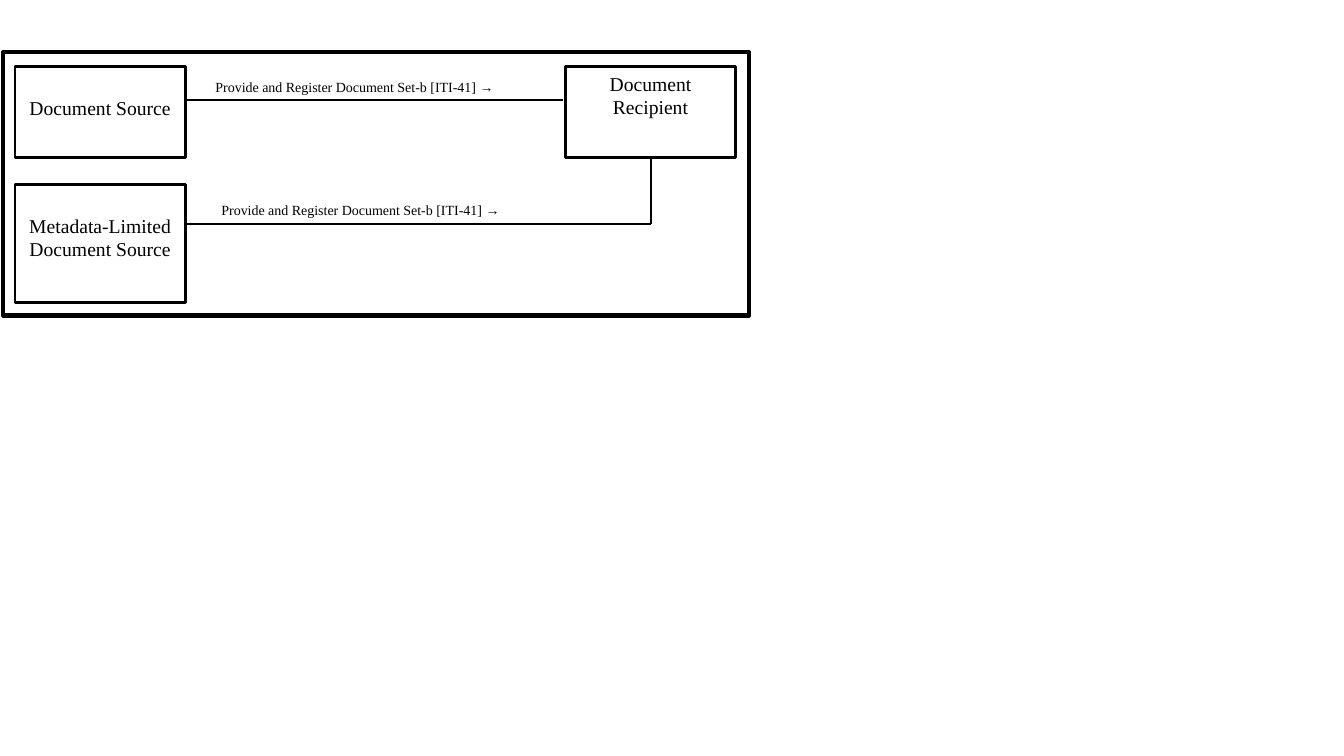
from lxml import etree
from pptx import Presentation
from pptx.dml.color import RGBColor
from pptx.enum.shapes import MSO_CONNECTOR, MSO_SHAPE
from pptx.enum.text import MSO_ANCHOR, PP_ALIGN
from pptx.oxml.ns import qn
from pptx.util import Cm, Pt

RECT = MSO_SHAPE.RECTANGLE
LINE = MSO_CONNECTOR.STRAIGHT
TOP = MSO_ANCHOR.TOP
LEFT, CENTER = PP_ALIGN.LEFT, PP_ALIGN.CENTER

FONT = "Times New Roman"
COLORS = {"ink": "000000", "paper": "FFFFFF"}
MESSAGE = "Provide and Register Document Set-b [ITI-41] →"

ACTOR_W = 4.29
SOURCE_X, RECIPIENT_X = 0.38, 14.25
ROW_Y, ROW_H = 1.68, 2.29
LIMITED_Y, LIMITED_H = 4.65, 2.97


def color(name):
    return RGBColor.from_string(COLORS[name])


def write(shape, text, size=14, align=CENTER, top=0.13):
    """Fill the shape with one paragraph that starts top cm below its edge."""
    frame = shape.text_frame
    frame.word_wrap = True
    frame.vertical_anchor = TOP
    frame.margin_left = frame.margin_right = Cm(0.25)
    frame.margin_top, frame.margin_bottom = Cm(top), Cm(0.13)
    para = frame.paragraphs[0]
    para.alignment = align
    run = para.add_run()
    run.text = text
    run.font.name = FONT
    run.font.size = Pt(size)
    run.font.color.rgb = color("ink")


def add_box(slide, x, y, w, h, weight, fill=None):
    box = slide.shapes.add_shape(RECT, Cm(x), Cm(y), Cm(w), Cm(h))
    box.shadow.inherit = False
    if fill:
        box.fill.solid()
        box.fill.fore_color.rgb = color(fill)
    else:
        box.fill.background()
    box.line.color.rgb = color("ink")
    box.line.width = Pt(weight)
    return box


def add_actor(slide, text, x, y, h, top):
    box = add_box(slide, x, y, ACTOR_W, h, 2, fill="paper")
    write(box, text, top=top)


def add_label(slide, text, x, y):
    label = slide.shapes.add_textbox(Cm(x), Cm(y), Cm(9.14), Cm(0.66))
    write(label, text, size=10, align=LEFT)


def add_line(slide, start, end):
    ends = [Cm(value) for value in (*start, *end)]
    line = slide.shapes.add_connector(LINE, *ends)
    line.line.color.rgb = color("ink")
    line.line.width = Pt(1.5)
    etree.SubElement(line._element.spPr, qn("a:effectLst"))


def main():
    deck = Presentation()
    deck.slide_width, deck.slide_height = Cm(33.87), Cm(19.05)
    slide = deck.slides.add_slide(deck.slide_layouts[6])

    add_box(slide, 0.08, 1.32, 18.8, 6.63, 3)
    for actor in (
        ("Document Source", SOURCE_X, ROW_Y, ROW_H, 0.73),
        ("Document Recipient", RECIPIENT_X, ROW_Y, ROW_H, 0.13),
        ("Metadata-Limited Document Source",
         SOURCE_X, LIMITED_Y, LIMITED_H, 0.73),
    ):
        add_actor(slide, *actor)

    corner = (16.41, 5.64)
    add_line(slide, (4.72, 2.51), (14.2, 2.51))
    add_line(slide, (SOURCE_X + ACTOR_W, corner[1]), corner)
    add_line(slide, corner, (corner[0], ROW_Y + ROW_H))

    for x, y in ((5.18, 1.85), (5.33, 4.95)):
        add_label(slide, MESSAGE, x, y)

    deck.save("out.pptx")


if __name__ == "__main__":
    main()
